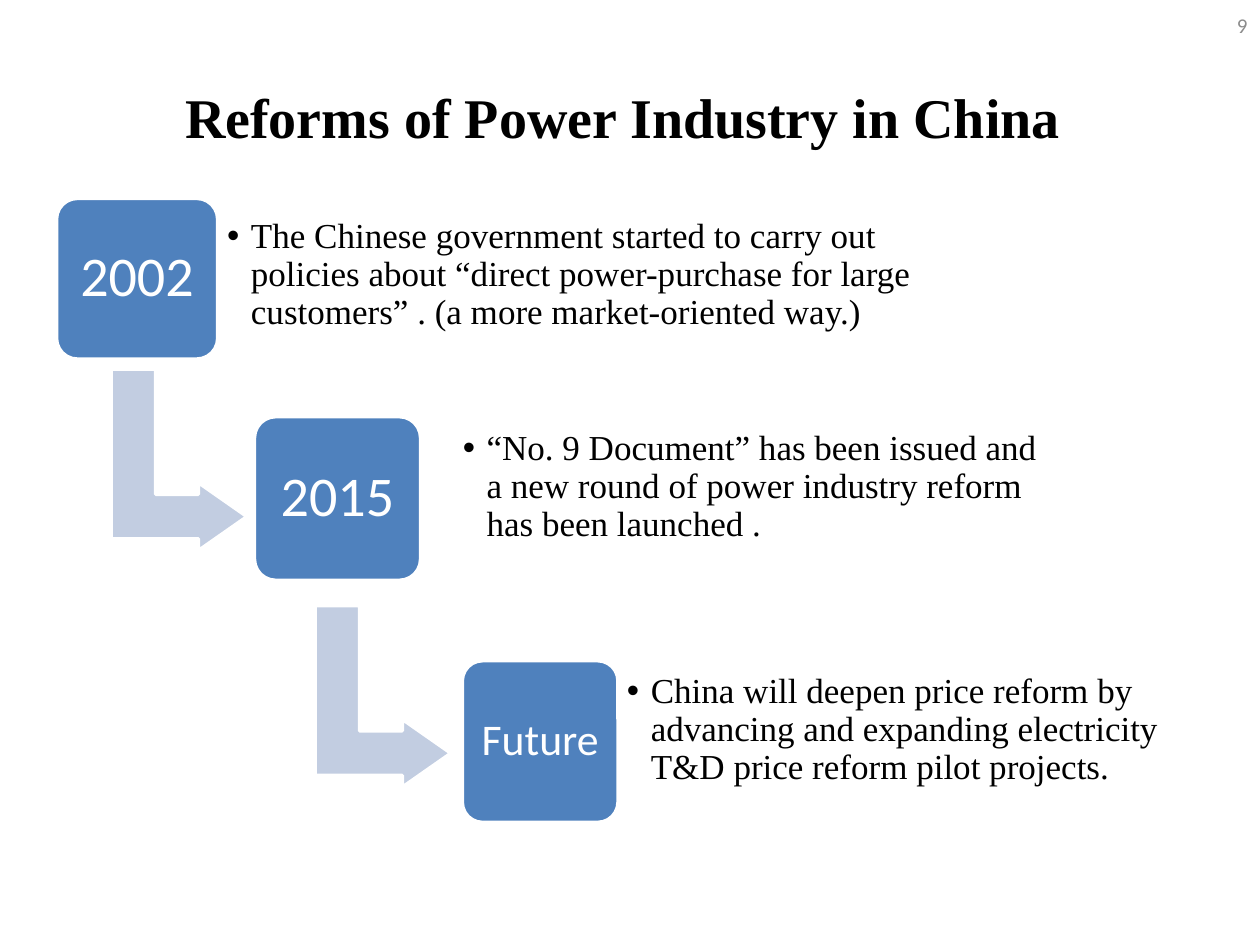
from lxml import etree
from pptx import Presentation
from pptx.dml.color import RGBColor
from pptx.enum.shapes import MSO_SHAPE
from pptx.enum.text import MSO_ANCHOR, PP_ALIGN
from pptx.oxml.ns import qn
from pptx.util import Cm, Pt

ROUNDED = MSO_SHAPE.ROUNDED_RECTANGLE
BENT_ARROW = MSO_SHAPE.BENT_UP_ARROW
MIDDLE = MSO_ANCHOR.MIDDLE
LEFT, CENTER, RIGHT = PP_ALIGN.LEFT, PP_ALIGN.CENTER, PP_ALIGN.RIGHT
SANS, SERIF = "Calibri", "Times New Roman"
COLORS = {"blue": "4F81BD", "arrow": "C2CDE1", "white": "FFFFFF",
          "black": "000000", "gray": "8C8C8C"}
TITLE_ONLY = 5

# Boxes are left, top, width, height in centimetres.
STEPS = [
    {"label": "2002", "size": 32, "box": (1.14, 4.0, 3.25, 3.24),
     "note_box": (4.39, 3.81, 14.25, 3.48), "arrow_box": (1.78, 7.9, 3.66, 2.74),
     "note": "The Chinese government started to carry out policies about "
             "“direct power-purchase for large customers” . "
             "(a more market-oriented way.)"},
    {"label": "2015", "size": 32, "box": (5.13, 8.4, 3.35, 3.3),
     "note_box": (9.14, 8.08, 12.04, 3.48), "arrow_box": (5.89, 12.67, 3.66, 2.74),
     "note": "“No. 9 Document” has been issued and a new round of "
             "power industry reform has been launched ."},
    {"label": "Future", "size": 25, "box": (9.32, 13.32, 3.14, 3.26),
     "note_box": (12.45, 12.98, 12.52, 3.48), "arrow_box": None,
     "note": "China will deepen price reform by advancing and expanding "
             "electricity T&D price reform pilot projects."},
]


def to_lengths(box):
    """Turn a box in centimetres into slide lengths."""
    return [Cm(value) for value in box]


def write_text(shape, text, size, font, color, align, bold=False, inset=None):
    """Write one formatted paragraph, centred vertically, and return it."""
    frame = shape.text_frame
    frame.text = text
    frame.word_wrap = True
    frame.vertical_anchor = MIDDLE
    if inset is not None:
        frame.margin_left = frame.margin_right = Cm(inset)
        frame.margin_top = frame.margin_bottom = Cm(inset)
    para = frame.paragraphs[0]
    para.alignment = align
    for span in para.runs:
        span.font.size = Pt(size)
        span.font.name = font
        span.font.bold = bold
        span.font.color.rgb = RGBColor.from_string(COLORS[color])
    return para


def add_block(page, kind, box, color):
    """Add a filled preset shape with a white outline."""
    shape = page.shapes.add_shape(kind, *to_lengths(box))
    shape.shadow.inherit = False
    shape.fill.solid()
    shape.fill.fore_color.rgb = RGBColor.from_string(COLORS[color])
    shape.line.color.rgb = RGBColor.from_string(COLORS["white"])
    shape.line.width = Pt(2)
    return shape


def add_arrow(page, box):
    """Add the arrow that turns from one step down to the next."""
    arrow = add_block(page, BENT_ARROW, box, "arrow")
    arrow.rotation = 90
    for index, value in enumerate((0.328, 0.25, 0.358)):
        arrow.adjustments[index] = value


def add_note(page, box, text):
    """Add the bulleted note beside a step."""
    note = page.shapes.add_textbox(*to_lengths(box))
    para = write_text(note, text, 20, SERIF, "black", LEFT, inset=0.19)
    para.line_spacing = 0.9
    properties = para._p.get_or_add_pPr()
    properties.set("marL", str(Cm(0.48)))
    properties.set("indent", str(-Cm(0.48)))
    font = etree.SubElement(properties, qn("a:buFont"))
    font.set("typeface", "Arial")
    etree.SubElement(properties, qn("a:buChar")).set("char", "•")


def add_step(page, step):
    """Add one step: its arrow, label block and note."""
    if step["arrow_box"]:
        add_arrow(page, step["arrow_box"])
    block = add_block(page, ROUNDED, step["box"], "blue")
    block.adjustments[0] = 0.13
    para = write_text(block, step["label"], step["size"], SANS, "white",
                      CENTER, inset=0.1)
    para.line_spacing = 0.9
    add_note(page, step["note_box"], step["note"])


def add_heading(page, title_box, number_box):
    """Fill the title placeholder and add the page number."""
    title = page.shapes.title
    title.left, title.top, title.width, title.height = to_lengths(title_box)
    write_text(title, "Reforms of Power Industry in China ", 32, SERIF,
               "black", CENTER, bold=True)
    number = page.shapes.add_textbox(*to_lengths(number_box))
    write_text(number, "9", 12, SANS, "gray", RIGHT)


def main():
    """Build and save the deck."""
    deck = Presentation()
    deck.slide_width, deck.slide_height = Cm(25.4), Cm(19.05)
    page = deck.slides.add_slide(deck.slide_layouts[TITLE_ONLY])
    add_heading(page, (1.27, 0.76, 22.86, 3.18), (19.48, 0, 5.92, 1.02))
    for step in STEPS:
        add_step(page, step)
    deck.save("out.pptx")


main()
